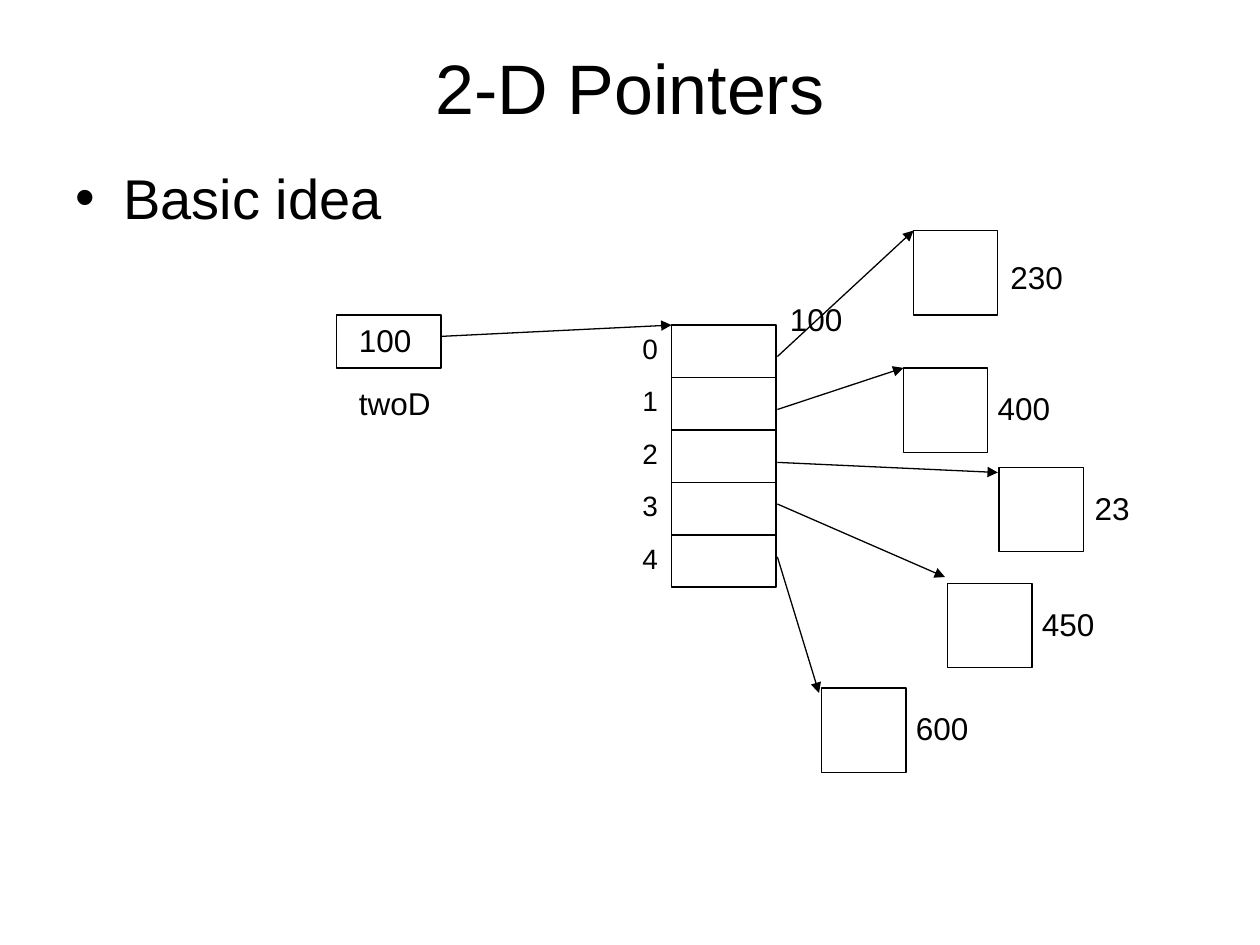
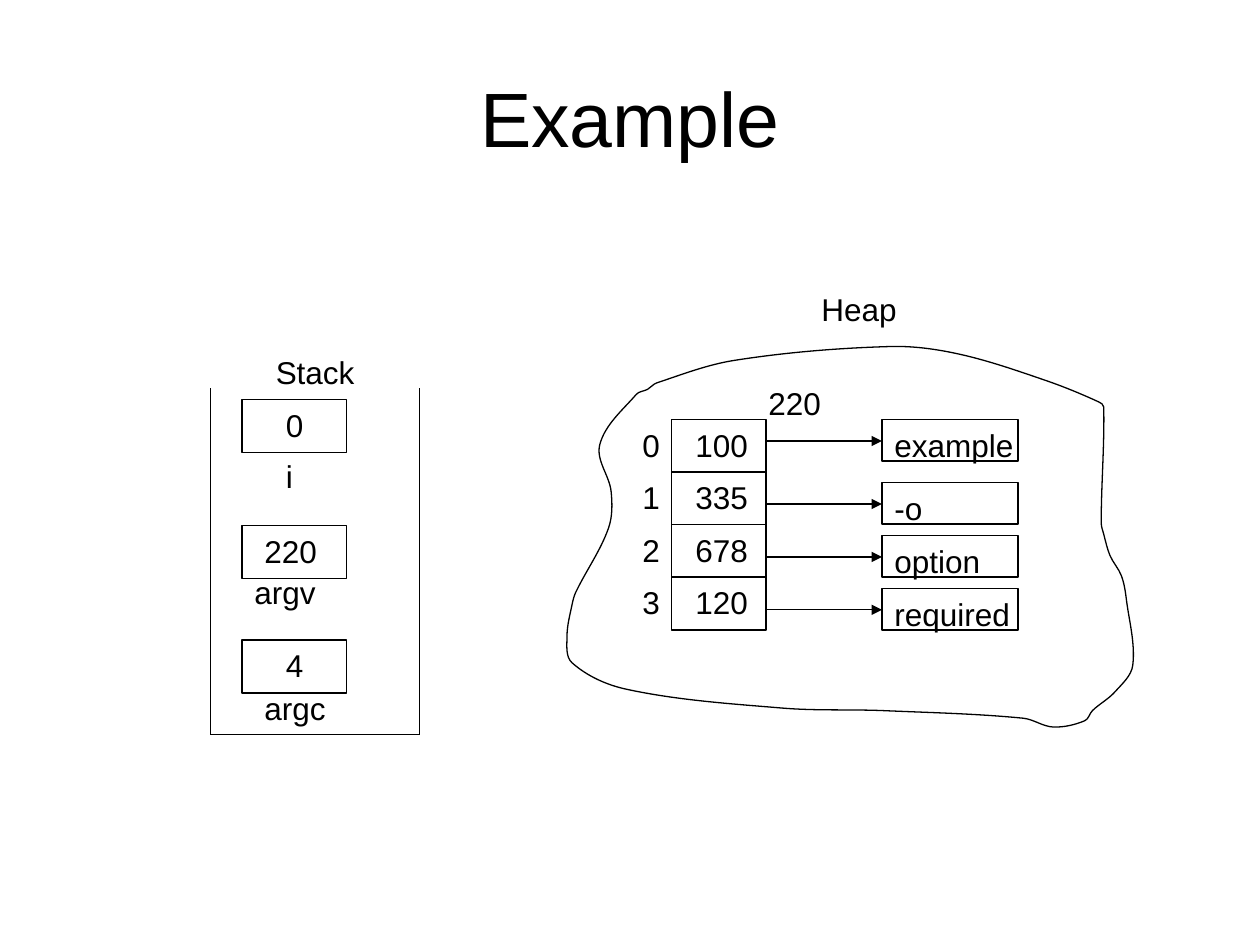
"""Build two slides that show pointer arrays in memory."""
from math import dist

from lxml import etree
from pptx import Presentation
from pptx.dml.color import RGBColor
from pptx.enum.shapes import MSO_CONNECTOR, MSO_SHAPE
from pptx.enum.text import MSO_ANCHOR, MSO_AUTO_SIZE, PP_ALIGN
from pptx.oxml.ns import qn
from pptx.util import Inches, Pt

STRAIGHT = MSO_CONNECTOR.STRAIGHT
RECTANGLE = MSO_SHAPE.RECTANGLE
MIDDLE = MSO_ANCHOR.MIDDLE
CENTER = PP_ALIGN.CENTER
LEFT = PP_ALIGN.LEFT
GROW = MSO_AUTO_SIZE.SHAPE_TO_FIT_TEXT
FIXED = MSO_AUTO_SIZE.NONE

COLORS = {"ink": "000000", "paper": "FFFFFF"}
INK = RGBColor.from_string(COLORS["ink"])
ROW_HEIGHT = 5 / 12
CELL = (0.83, 0.42)
TARGET = (0.67, 0.67)
STRING = (1.08, 0.33)
UNITS_PER_INCH = 1000
WORD_WIDTHS = {
    "twoD": 0.79, "Stack": 0.85, "Heap": 0.82, "argv": 0.71, "argc": 0.71,
    "i": 0.27, "example": 1.17, "-o": 0.44, "option": 0.91, "required": 1.14,
}


def write_text(shape, text, size, alignment, frame_format):
    frame = shape.text_frame
    for name, value in frame_format.items():
        setattr(frame, name, value)
    paragraph = frame.paragraphs[0]
    paragraph.alignment = alignment
    run = paragraph.add_run()
    run.text = text
    for name, value in {"name": "Arial", "size": Pt(size), "bold": False}.items():
        setattr(run.font, name, value)
    run.font.color.rgb = INK
    return paragraph


def draw_outline(shape):
    shape.line.color.rgb = INK
    shape.line.width = Pt(0.75)


pointer_boxes = [(2.67, 2.5, *CELL), (5.33, 2.58, 0.83, 2.08)]
pointer_lines = [(3.5, 2.67, 5.33, 2.58, True)]
pointer_labels = [("twoD", 2.75, 3, 18), ("100", 2.75, 2.5, 18), ("100", 6.17, 2.33, 18)]
for index in range(5):
    top = 2.58 + index * ROW_HEIGHT
    pointer_labels.append((str(index), 5, top, 16))
    if index:
        pointer_lines.append((5.33, top, 6.17, top, False))

targets = [
    ("230", (7.25, 1.83), (7.92, 2), 2.83, (7.25, 1.83)),
    ("400", (7.17, 2.92), (7.82, 3.04), 3.25, (7.17, 2.92)),
    ("23", (7.93, 3.71), (8.59, 3.83), 3.67, (7.92, 3.75)),
    ("450", (7.52, 4.63), (8.17, 4.75), 4, (7.5, 4.58)),
    ("600", (6.52, 5.46), (7.17, 5.58), 4.42, (6.5, 5.5)),
]
for address, corner, label_corner, start_top, arrow_end in targets:
    pointer_boxes.append((*corner, *TARGET))
    pointer_labels.append((address, *label_corner, 18))
    pointer_lines.append((6.17, start_top, *arrow_end, True))

example_boxes = [(5.33, 3.33, 0.75, 1.67)]
example_lines = [
    (1.67, 3.08, 1.67, 5.83, False),
    (1.67, 5.83, 3.33, 5.83, False),
    (3.33, 3.08, 3.33, 5.83, False),
]
example_labels = [("Stack", 2.09, 2.75, 18), ("Heap", 6.42, 2.25, 18), ("220", 6, 3, 18)]
stack_variables = [
    ("0", 2.17, 3.17, "i", 2.17, 3.58),
    ("220", 2, 4.17, "argv", 1.92, 4.5),
    ("4", 2.17, 5.08, "argc", 2, 5.42),
]
for value, value_left, top, name, name_left, name_top in stack_variables:
    example_boxes.append((1.92, top, *CELL))
    example_labels.append((value, value_left, top, 18))
    example_labels.append((name, name_left, name_top, 18))

arguments = [
    ("100", "example", 3.33), ("335", "-o", 3.83),
    ("678", "option", 4.25), ("120", "required", 4.67),
]
for index, (address, argument, string_top) in enumerate(arguments):
    top = 3.33 + index * ROW_HEIGHT
    arrow_top = string_top + 0.17
    example_labels.append((str(index), 5, top, 18))
    example_labels.append((address, 5.42, top, 18))
    example_labels.append((argument, 7, string_top, 18))
    example_boxes.append((7, string_top, *STRING))
    example_lines.append((6.08, arrow_top, 7, arrow_top, True))
    if index:
        example_lines.append((5.33, top, 6.08, top, False))

presentation = Presentation()
presentation.slide_width = Inches(10)
presentation.slide_height = Inches(7.5)

slide_plans = [
    ("2-D Pointers", 40, 0.78, pointer_boxes, pointer_lines, pointer_labels),
    ("Example", 44, 1.25, example_boxes, example_lines, example_labels),
]
for title_text, title_size, title_height, boxes, lines, labels in slide_plans:
    slide = presentation.slides.add_slide(presentation.slide_layouts[5])
    slide.background.fill.solid()
    slide.background.fill.fore_color.rgb = RGBColor.from_string(COLORS["paper"])
    title = slide.shapes.title
    title_place = {"left": 0.5, "top": 0.3, "width": 9, "height": title_height}
    for name, value in title_place.items():
        setattr(title, name, Inches(value))
    title_format = {"vertical_anchor": MIDDLE, "word_wrap": True, "auto_size": FIXED}
    write_text(title, title_text, title_size, CENTER, title_format)

    for box in boxes:
        shape = slide.shapes.add_shape(RECTANGLE, *map(Inches, box))
        shape.shadow.inherit = False
        shape.fill.background()
        draw_outline(shape)

    for *ends, has_arrow in lines:
        connector = slide.shapes.add_connector(STRAIGHT, *map(Inches, ends))
        draw_outline(connector)
        if has_arrow:
            line_element = connector.line._get_or_add_ln()
            etree.SubElement(line_element, qn("a:tailEnd"), type="triangle")
        etree.SubElement(connector._element.spPr, qn("a:effectLst"))

    for text, left, top, size in labels:
        digit_width = 0.14 * size / 18
        width = WORD_WIDTHS.get(text, 0.22 + digit_width * len(text))
        height = 0.4 if size == 18 else 0.37
        text_box = slide.shapes.add_textbox(*map(Inches, (left, top, width, height)))
        write_text(text_box, text, size, LEFT, {"word_wrap": False, "auto_size": GROW})

pointer_slide, example_slide = presentation.slides

idea_box = pointer_slide.shapes.add_textbox(*map(Inches, (0.5, 1.25, 9.08, 0.92)))
idea = write_text(idea_box, "Basic idea", 32, LEFT, {"word_wrap": True, "auto_size": FIXED})
idea.space_before = Pt(8)
idea_properties = idea._p.get_or_add_pPr()
idea_properties.set("marL", str(Inches(0.38)))
idea_properties.set("indent", str(Inches(-0.38)))
etree.SubElement(idea_properties, qn("a:buFont"), typeface="Arial")
etree.SubElement(idea_properties, qn("a:buChar"), char="•")

heap_points = [
    (5.83, 2.86), (5.21, 3.04), (5.14, 3.09), (5.05, 3.13), (4.76, 3.53),
    (4.85, 3.9), (4.83, 4.19), (4.57, 4.7), (4.54, 4.8), (4.5, 5.05),
    (4.54, 5.26), (4.97, 5.47), (6.21, 5.62), (7.01, 5.64), (8.12, 5.7),
    (8.36, 5.77), (8.61, 5.72), (8.67, 5.64), (8.85, 5.49), (8.99, 5.28),
    (8.94, 4.76), (8.9, 4.57), (8.81, 4.41), (8.76, 4.24), (8.74, 4.15),
    (8.76, 3.23), (8.72, 3.19), (8.3, 3.02), (7.61, 2.81), (7.07, 2.75),
]
outline = [(x * UNITS_PER_INCH, y * UNITS_PER_INCH) for x, y in heap_points]
builder = example_slide.shapes.build_freeform(*outline[0], scale=Inches(1) / UNITS_PER_INCH)
builder.add_line_segments(outline[1:] + outline[:1], close=True)
heap = builder.convert_to_shape()
heap.shadow.inherit = False
heap.fill.background()
draw_outline(heap)

segments = heap._element.findall(".//" + qn("a:lnTo"))
corners = [(int(segment[0].get("x")), int(segment[0].get("y"))) for segment in segments]
count = len(corners)
directions = []
for index in range(count):
    before, after = corners[index - 1], corners[(index + 1) % count]
    chord = dist(before, after)
    directions.append([(b - a) / chord for a, b in zip(before, after)])
for index, segment in enumerate(segments):
    start, end = corners[index - 1], corners[index]
    reach = dist(start, end) / 3
    first = [a + reach * d for a, d in zip(start, directions[index - 1])]
    second = [a - reach * d for a, d in zip(end, directions[index])]
    segment.tag = qn("a:cubicBezTo")
    for position, (x, y) in enumerate((first, second)):
        control = etree.Element(qn("a:pt"), x=str(round(x)), y=str(round(y)))
        segment.insert(position, control)

presentation.save("out.pptx")
